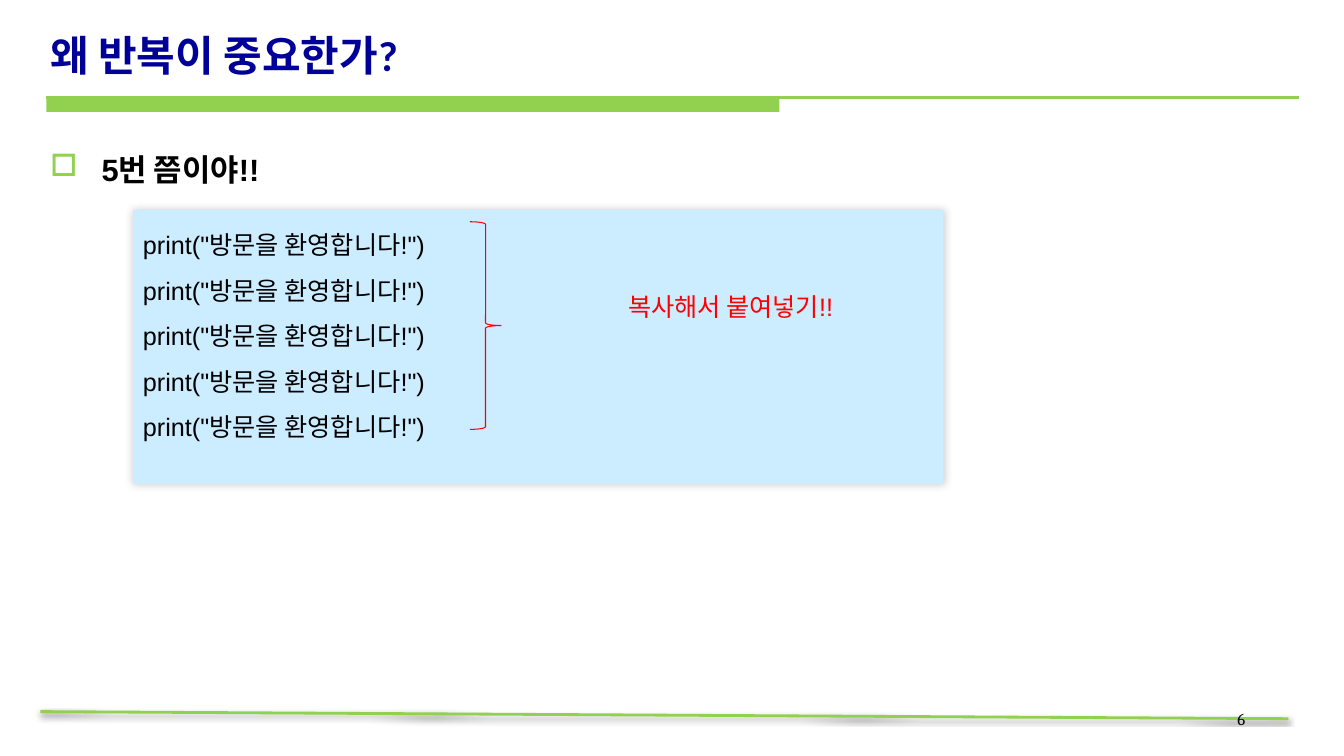
from lxml import etree
from pptx import Presentation
from pptx import util as u
from pptx.dml.color import RGBColor
from pptx.enum import shapes, text
from pptx.oxml import ns

THEME = {
    "green": RGBColor.from_string("92D050"),
    "code fill": RGBColor.from_string("CCECFF"),
    "red": RGBColor.from_string("FF0000"),
    "title": {"name": "Calibri", "size": u.Pt(30), "bold": True, "color": "000099"},
    "point": {"name": "Arial", "size": u.Pt(22), "bold": True, "color": "000000"},
    "code": {"name": "Arial", "size": u.Pt(18), "bold": False, "color": "000000"},
    "note": {"name": "Arial", "size": u.Pt(18), "bold": False, "color": "FF0000"},
    "number": {"name": "Cambria", "size": u.Pt(12), "bold": False, "color": "000000"},
}

deck = Presentation()
deck.slide_width, deck.slide_height = u.Inches(13.33), u.Inches(7.5)
page = deck.slides.add_slide(deck.slide_layouts[6])


def share(*percents):
    """Turn alternating percentages of slide width and height into lengths."""
    sides = (deck.slide_width, deck.slide_height)
    return [int(sides[i % 2] * percent / 100) for i, percent in enumerate(percents)]


def cast_shadow(shape, opacity, blur, distance, angle):
    """Give the shape a black outer shadow; blur and distance are in points."""
    properties = shape._element.spPr
    for effects in properties.findall(ns.qn("a:effectLst")):
        properties.remove(effects)
    effects = etree.SubElement(properties, ns.qn("a:effectLst"))
    if opacity:
        outer = etree.SubElement(effects, ns.qn("a:outerShdw"), {
            "blurRad": str(u.Pt(blur)), "dist": str(u.Pt(distance)),
            "dir": str(angle * 60000), "algn": "ctr", "rotWithShape": "0"})
        black = etree.SubElement(outer, ns.qn("a:srgbClr"), val="000000")
        etree.SubElement(black, ns.qn("a:alpha"), val=str(opacity * 1000))


# Footer line and the line under the title
for ends, weight, shadow in [
    ((3, 94.13, 95.87, 95.07), 2, (38, 3.1, 1.6, 90)),
    ((3.45, 12.93, 96.62, 12.93), 2.25, (0, 0, 0, 0)),
]:
    line = page.shapes.add_connector(shapes.MSO_CONNECTOR.STRAIGHT, *share(*ends))
    line.line.color.rgb = THEME["green"]
    line.line.width = u.Pt(weight)
    cast_shadow(line, *shadow)

# Title bar and code panel
panels = []
for area, fill in [
    ((3.45, 12.93, 54.54, 1.87), THEME["green"]),
    ((9.9, 27.73, 60.32, 36.27), THEME["code fill"]),
]:
    panel = page.shapes.add_shape(shapes.MSO_SHAPE.RECTANGLE, *share(*area))
    panel.shadow.inherit = False
    panel.fill.solid()
    panel.fill.fore_color.rgb = fill
    panel.line.fill.background()
    panels.append(panel)
code_panel = panels[1]
cast_shadow(code_panel, 20, 6, 0, 315)

brace = page.shapes.add_shape(shapes.MSO_SHAPE.RIGHT_BRACE, *share(34.96, 29.33, 2.33, 27.47))
brace.shadow.inherit = False
brace.fill.background()
brace.line.color.rgb = THEME["red"]
brace.line.width = u.Pt(0.75)

# All text: holder, lines, style, frame settings, paragraph settings
title, point, note, number = [page.shapes.add_textbox(*share(*area)) for area in [
    (3, 1.2, 93.62, 10),
    (3, 16.8, 93.62, 74.8),
    (45.99, 37.87, 18.45, 5.33),
    (71.72, 93.07, 21.68, 6.93),
]]
left, right = text.PP_ALIGN.LEFT, text.PP_ALIGN.RIGHT
top, bottom = text.MSO_ANCHOR.TOP, text.MSO_ANCHOR.BOTTOM
for holder, lines, style, frame_format, para_format in [
    (title, ["왜 반복이 중요한가?"], "title",
     {"vertical_anchor": bottom, "word_wrap": True}, {"alignment": left}),
    (point, ["5번 쯤이야!!"], "point",
     {"vertical_anchor": top, "word_wrap": True},
     {"alignment": left, "line_spacing": 1.5, "space_before": u.Pt(4.4)}),
    (code_panel, ['print("방문을 환영합니다!")'] * 5, "code",
     {"vertical_anchor": top, "word_wrap": True}, {"alignment": left, "line_spacing": 1.5}),
    (note, ["복사해서 붙여넣기!!"], "note",
     {"word_wrap": False, "auto_size": text.MSO_AUTO_SIZE.SHAPE_TO_FIT_TEXT},
     {"alignment": left}),
    (number, ["6"], "number",
     {"vertical_anchor": top, "word_wrap": True}, {"alignment": right}),
]:
    frame = holder.text_frame
    frame.text = "\n".join(lines)
    for name, value in frame_format.items():
        setattr(frame, name, value)
    for para in frame.paragraphs:
        for name, value in para_format.items():
            setattr(para, name, value)
        for span in para.runs:
            for name in ("name", "size", "bold"):
                setattr(span.font, name, THEME[style][name])
            span.font.color.rgb = RGBColor.from_string(THEME[style]["color"])

# Square bullet with a hanging indent
bullet_para = point.text_frame.paragraphs[0]._p.get_or_add_pPr()
bullet_para.set("marL", str(u.Inches(0.51)))
bullet_para.set("indent", str(-u.Inches(0.51)))
bullet_color = etree.SubElement(bullet_para, ns.qn("a:buClr"))
etree.SubElement(bullet_color, ns.qn("a:srgbClr"), val=str(THEME["green"]))
etree.SubElement(bullet_para, ns.qn("a:buChar"), char="□")

deck.save("out.pptx")
